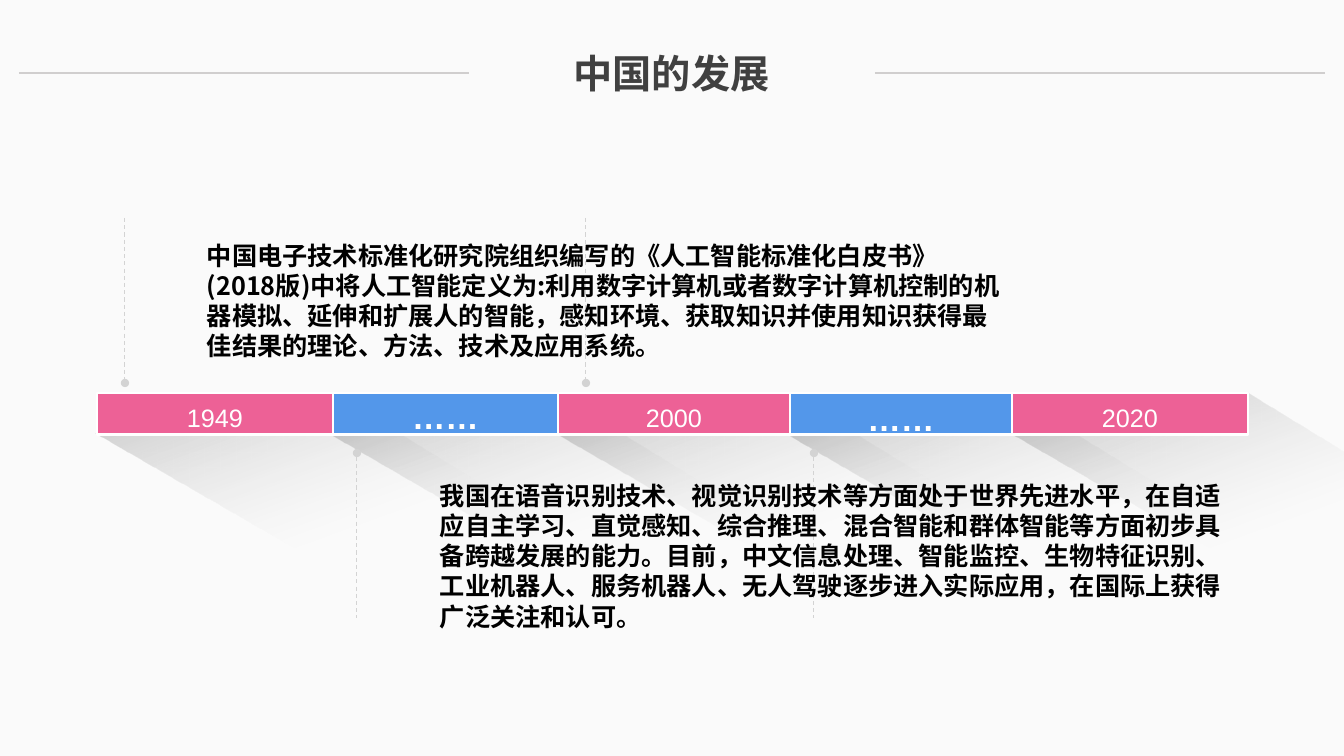
import math

from lxml import etree
from pptx import Presentation
from pptx import util as u
from pptx.dml.color import RGBColor
from pptx.enum import dml, shapes, text
from pptx.oxml import parse_xml
from pptx.oxml.ns import nsdecls, qn

SCALE = 914400 / 100.8
COLORS = {
    "page": "FAFAFA",
    "pink": "ED6196",
    "blue": "5397EA",
    "white": "FFFFFF",
    "black": "000000",
    "title": "404040",
    "rule": "D0CECE",
    "marker": "D3D3D3",
    "fade": "C7C7C7",
}
TITLE_FONT = "Noto Sans CJK SC"
BODY_FONT = "Noto Sans CJK JP"
BAR_FONT = "Arial"
BAR_TOP, BAR_HEIGHT = 393, 42
BAR_EDGES = [97, 333, 558, 790, 1012, 1248]
BARS = [
    ("1949", "pink", 18, False, 1.2),
    ("……", "blue", 23.8, True, 1.1),
    ("2000", "pink", 18, False, 1.2),
    ("……", "blue", 24, True, 1.2),
    ("2020", "pink", 18, False, 1.2),
]
SHADOW_TILT = 30
DEFINITION = (
    "中国电子技术标准化研究院组织编写的《人工智能标准化白皮书》 "
    "(2018版)中将人工智能定义为:利用数字计算机或者数字计算机控制的"
    "机器模拟、延伸和扩展人的智能，感知环境、获取知识并使用知识获得"
    "最佳结果的理论、方法、技术及应用系统。"
)
PROGRESS = (
    "我国在语音识别技术、视觉识别技术等方面处于世界先进水平，在自适"
    "应自主学习、直觉感知、综合推理、混合智能和群体智能等方面初步具"
    "备跨越发展的能力。目前，中文信息处理、智能监控、生物特征识别、"
    "工业机器人、服务机器人、无人驾驶逐步进入实际应用，在国际上获得"
    "广泛关注和认可。"
)


def px(length):
    """Turn a length in px into EMU."""
    return u.Emu(round(length * SCALE))


def color(name):
    """Return the named colour."""
    return RGBColor.from_string(COLORS[name])


def add_span(para, words, font, size, tone, bold):
    """Add one run with its font for Latin and East Asian text."""
    span = para.add_run()
    span.text = words
    span.font.name = font
    span.font.size = u.Pt(size)
    span.font.bold = bold
    span.font.color.rgb = color(tone)
    properties = span.font._element
    etree.SubElement(properties, qn("a:ea")).set("typeface", font)


def add_text(page, area, words, font, size, tone, align):
    """Add a wrapped text box with one bold paragraph."""
    box = page.shapes.add_textbox(*map(px, area))
    frame = box.text_frame
    frame.word_wrap = True
    frame.auto_size = text.MSO_AUTO_SIZE.SHAPE_TO_FIT_TEXT
    para = frame.paragraphs[0]
    para.alignment = align
    add_span(para, words, font, size, tone, True)


def add_bar(page, left, right, words, fill, size, bold, spacing):
    """Add one labelled section of the timeline."""
    area = (left, BAR_TOP, right - left, BAR_HEIGHT)
    bar = page.shapes.add_shape(shapes.MSO_SHAPE.RECTANGLE, *map(px, area))
    bar.shadow.inherit = False
    bar.fill.solid()
    bar.fill.fore_color.rgb = color(fill)
    bar.line.color.rgb = color("white")
    bar.line.width = u.Pt(2)
    frame = bar.text_frame
    frame.margin_left = frame.margin_right = 0
    frame.margin_top = frame.margin_bottom = 0
    frame.vertical_anchor = text.MSO_ANCHOR.MIDDLE
    para = frame.paragraphs[0]
    para.alignment = text.PP_ALIGN.CENTER
    para.line_spacing = spacing
    add_span(para, words, BAR_FONT, size, "white", bold)


def turn_back(point, pivot):
    """Rotate a point about the pivot against the shadow's tilt."""
    angle = math.radians(-SHADOW_TILT)
    across, down = point[0] - pivot[0], point[1] - pivot[1]
    return (
        px(pivot[0] + across * math.cos(angle) - down * math.sin(angle)),
        px(pivot[1] + across * math.sin(angle) + down * math.cos(angle)),
    )


def add_shadow(page, left, right):
    """Add the long fading shadow under one section."""
    outline = [(left, 436), (right, 395), (right + 217, 528), (left + 374, 652)]
    pivot = (left + 224, 480)
    points = [turn_back(point, pivot) for point in outline]
    builder = page.shapes.build_freeform(*points[0], scale=1.0)
    builder.add_line_segments(points[1:], close=True)
    shadow = builder.convert_to_shape()
    shadow.rotation = SHADOW_TILT
    shadow.shadow.inherit = False
    shadow.line.fill.background()
    stops = "".join(
        f'<a:gs pos="{place * 1000}"><a:srgbClr val="{COLORS[tone]}">'
        f'<a:alpha val="{alpha * 1000}"/></a:srgbClr></a:gs>'
        for place, tone, alpha in [(0, "black", 40), (62, "fade", 0), (100, "page", 0)]
    )
    gradient = parse_xml(
        f'<a:gradFill {nsdecls("a")} rotWithShape="1"><a:gsLst>{stops}</a:gsLst>'
        '<a:lin ang="2400000" scaled="0"/></a:gradFill>'
    )
    shadow._element.spPr.find(qn("a:custGeom")).addnext(gradient)


def add_line(page, start, end, tone, width):
    """Add a straight line without a shadow."""
    line = page.shapes.add_connector(
        shapes.MSO_CONNECTOR.STRAIGHT, *map(px, start + end)
    )
    line.line.color.rgb = color(tone)
    line.line.width = u.Pt(width)
    etree.SubElement(line._element.spPr, qn("a:effectLst"))
    return line


def add_marker(page, x, top, dot):
    """Add a dashed marker with a dot at the named end."""
    marker = add_line(page, (x, top), (x, top + 165), "marker", 0.75)
    marker.line.dash_style = dml.MSO_LINE.DASH
    outline = marker.line._get_or_add_ln()
    etree.SubElement(outline, qn(dot)).set("type", "oval")


def main():
    """Build the timeline slide and save it."""
    deck = Presentation()
    deck.slide_width, deck.slide_height = px(1344), px(756)
    page = deck.slides.add_slide(deck.slide_layouts[6])
    page.background.fill.solid()
    page.background.fill.fore_color.rgb = color("page")

    sections = list(zip(BAR_EDGES, BAR_EDGES[1:]))
    for left, right in sections:
        add_shadow(page, left, right)
    for (left, right), bar in zip(sections, BARS):
        add_bar(page, left, right, *bar)
    for left in BAR_EDGES[0:4:2]:
        add_marker(page, left + 28, 218, "a:tailEnd")
    for left in BAR_EDGES[1:4:2]:
        add_marker(page, left + 24, 453, "a:headEnd")

    center, start = text.PP_ALIGN.CENTER, text.PP_ALIGN.LEFT
    add_text(page, (490, 44, 363, 57), "中国的发展", TITLE_FONT, 28, "title", center)
    for left in (19, 875):
        add_line(page, (left, 73), (left + 450, 73), "rule", 1)
    add_text(page, (197, 235, 820, 132), DEFINITION, BODY_FONT, 18, "black", start)
    add_text(page, (430, 475, 820, 163), PROGRESS, BODY_FONT, 18, "black", start)
    deck.save("out.pptx")


if __name__ == "__main__":
    main()
